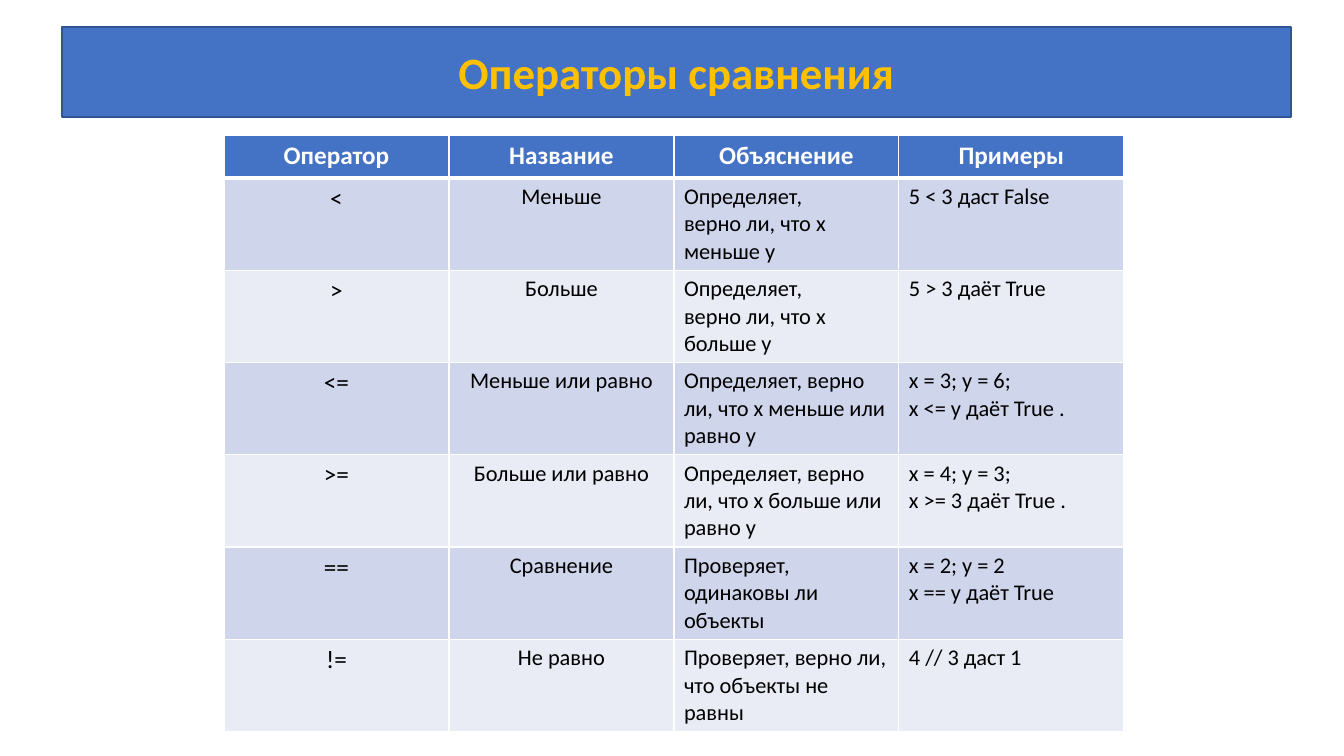
from lxml.etree import SubElement as Sub, Element
from pptx import Presentation
from pptx.dml.color import RGBColor
from pptx.enum.shapes import MSO_SHAPE as Shape
from pptx.enum.text import MSO_ANCHOR as Anchor, PP_ALIGN as Align
from pptx.oxml.ns import qn
from pptx.util import Pt

PX = 914400 / 100.8
BLUE, GOLD, WHITE, BLACK = "4472C4", "FFC000", "FFFFFF", "000000"
BANDS = "CFD5EA", "E9EBF5"

HEADS = "Оператор", "Название", "Объяснение", "Примеры"
# Each line of a cell is its own paragraph
ROWS = [
    ("<", "Меньше", "Определяет,\nверно ли, что x\nменьше y\u00a0",
     "5 < 3 даст False"),
    (">", "Больше", "Определяет,\nверно ли, что x\nбольше y",
     "5 > 3 даёт True"),
    ("<=", "Меньше\u00a0или равно",
     "Определяет,\u00a0верно ли, что x\u00a0меньше или\nравно y",
     "x = 3; y = 6; \nx <= y даёт True ."),
    (">=", "Больше\u00a0или равно",
     "Определяет,\u00a0верно ли, что x\u00a0больше или\nравно y",
     "x = 4; y = 3; \nx >= 3 даёт True ."),
    ("==", "Сравнение", "Проверяет,\nодинаковы ли\nобъекты",
     "x = 2; y = 2\nx == y даёт True"),
    ("!=", "Не равно",
     "Проверяет,\u00a0верно ли, что\u00a0объекты не\nравны",
     "4 // 3 даст 1"),
]


def emu(px):
    return round(px * PX)


def paint(part, color):
    part.solid()
    part.fore_color.rgb = RGBColor.from_string(color)


def write(frame, text, size, color, bold=False, align=Align.CENTER):
    for num, line in enumerate(text.split("\n")):
        par = frame.add_paragraph() if num else frame.paragraphs[0]
        par.alignment = align
        run = par.add_run()
        run.text = line
        font = run.font
        font.name, font.size, font.bold = "Calibri", Pt(size), bold
        paint(font.fill, color)
    return run


def stroke(line, color, width):
    line.set("w", str(Pt(width)))
    fill = Sub(line, qn("a:solidFill"))
    Sub(fill, qn("a:srgbClr")).set("val", color)


def edge(cell, top, base):
    props = cell._tc.get_or_add_tcPr()
    for side, width in zip("LRTB", (1, 1, top, base)):
        stroke(Sub(props, qn("a:ln" + side)), WHITE, width)


def banner(slide, x, y, w, h):
    bar = slide.shapes.add_shape(Shape.RECTANGLE, *map(emu, (x, y, w, h)))
    bar.shadow.inherit = False
    paint(bar.fill, BLUE)
    paint(bar.line.fill, "325491")
    bar.line.width = Pt(1)
    frame = bar.text_frame
    frame.word_wrap = True
    frame.vertical_anchor = Anchor.MIDDLE
    run = write(frame, "Операторы сравнения", 32, GOLD, True)
    # Letter outline
    line = Element(qn("a:ln"))
    stroke(line, GOLD, 1)
    run.font._element.insert(0, line)


def grid(slide, x, y, w, h, head=43):
    rows, cols = len(ROWS) + 1, len(HEADS)
    table = slide.shapes.add_table(rows, cols, *map(emu, (x, y, w, h))).table
    for col in table.columns:
        col.width = emu(w / cols)
    for num, row in enumerate(table.rows):
        row.height = emu((h - head) / len(ROWS) if num else head)

    # Header row
    for num, text in enumerate(HEADS):
        cell = table.cell(0, num)
        edge(cell, 1, 3)
        paint(cell.fill, BLUE)
        write(cell.text_frame, text, 18, WHITE, True)

    # Banded body: signs are larger, the last two columns align left
    for r, texts in enumerate(ROWS, 1):
        for c, text in enumerate(texts):
            cell = table.cell(r, c)
            edge(cell, 3 if r == 1 else 1, 1)
            paint(cell.fill, BANDS[(r - 1) % 2])
            write(cell.text_frame, text, 16 if c else 18, BLACK,
                  align=Align.CENTER if c < 2 else Align.LEFT)


deck = Presentation()
deck.slide_width, deck.slide_height = emu(1344), emu(756)
page = deck.slides.add_slide(deck.slide_layouts[6])
banner(page, 62, 27, 1229, 90)
grid(page, 224, 135, 900, 595)
deck.save("out.pptx")
